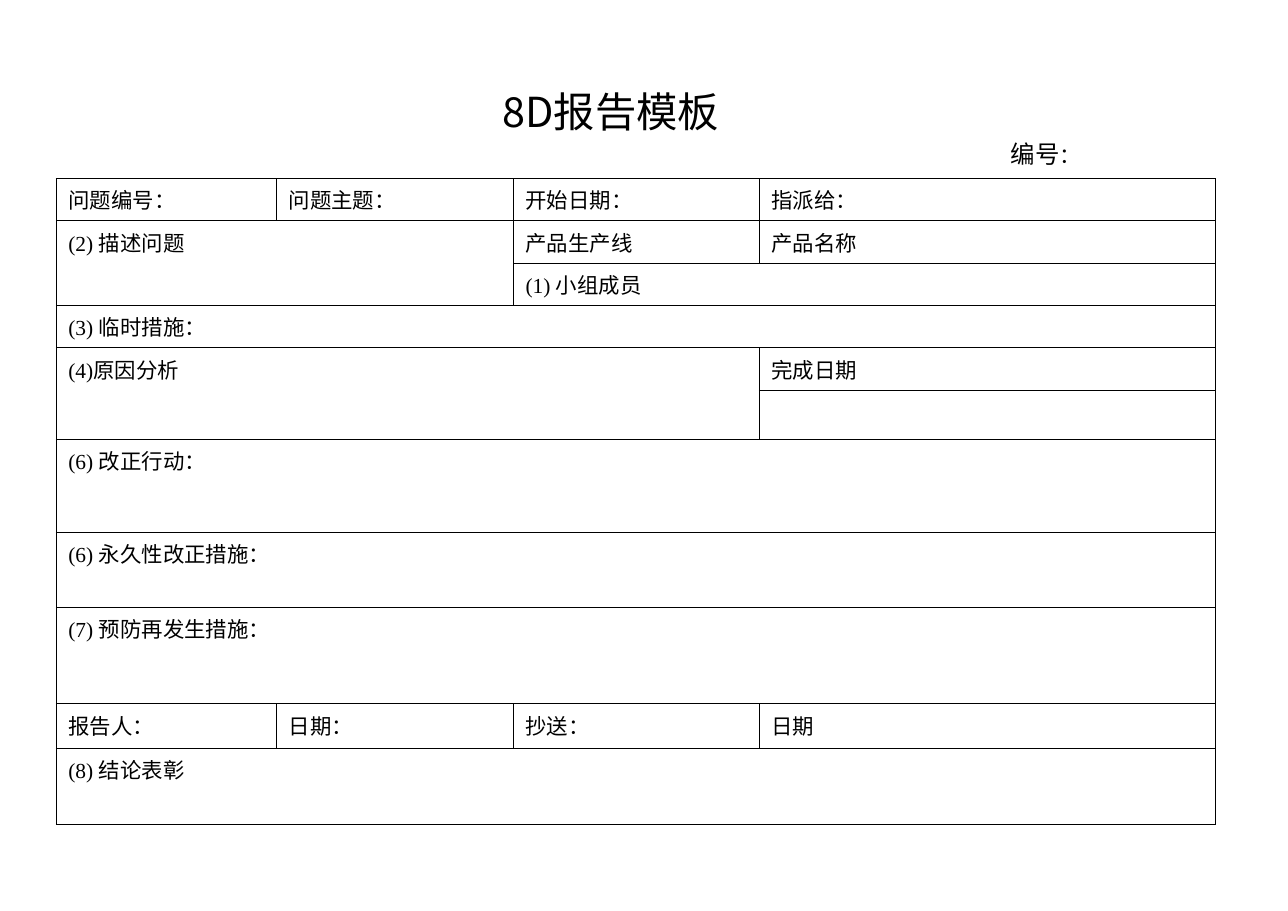
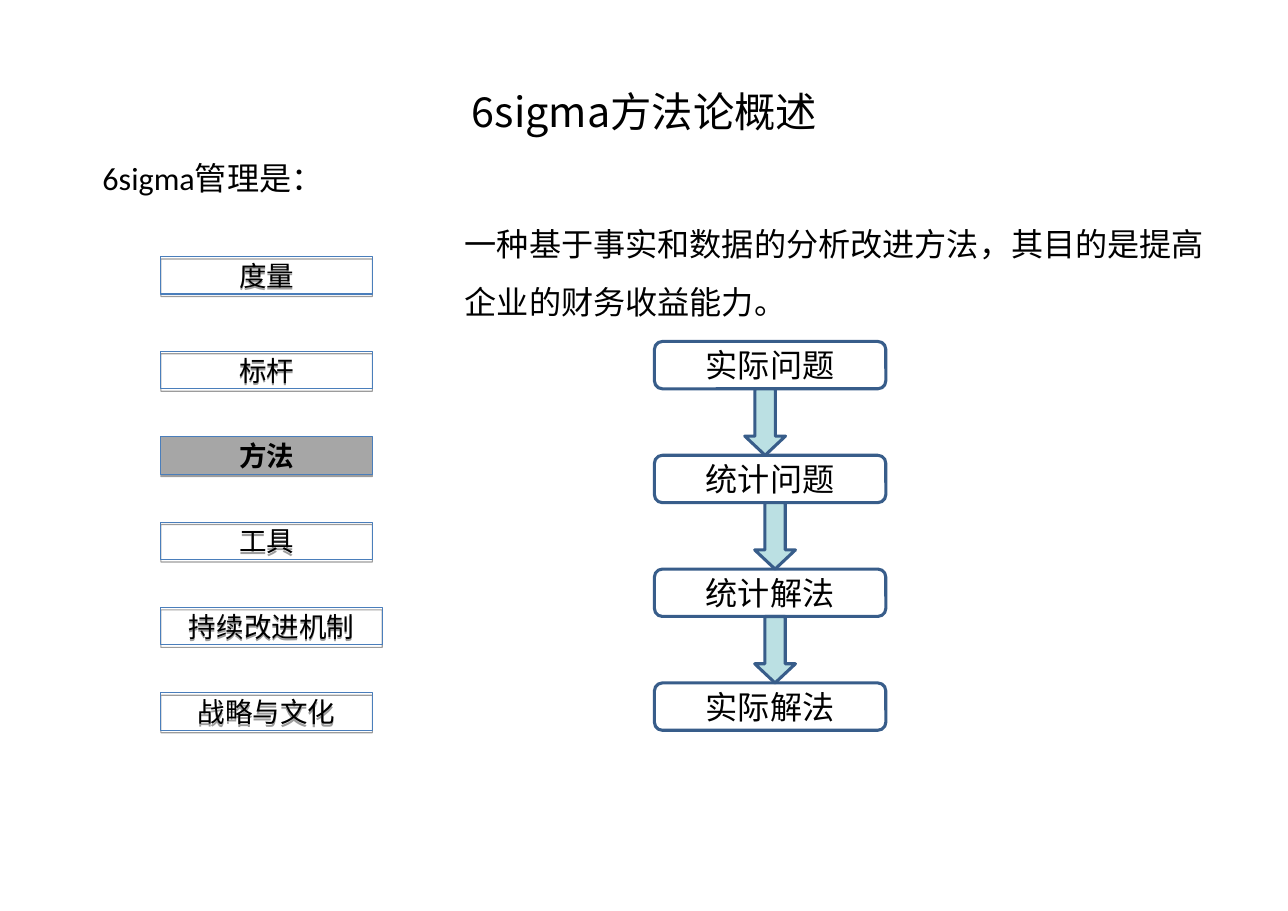
from lxml import etree
from pptx import Presentation
from pptx.dml.color import RGBColor
from pptx.enum import shapes, text
from pptx.oxml.ns import qn
from pptx.util import Inches, Pt

BLACK = RGBColor(0x00, 0x00, 0x00)
WHITE = RGBColor(0xFF, 0xFF, 0xFF)
GREY = RGBColor(0xA6, 0xA6, 0xA6)
BLUE = RGBColor(0x4A, 0x7E, 0xBB)
NAVY = RGBColor(0x38, 0x5D, 0x8A)
AQUA = RGBColor(0xBB, 0xE0, 0xE3)

CJK_FONT = "Noto Sans CJK SC"
BODY_FONT = "Calibri"
TABLE_FONT = "Times New Roman"

COLUMN_WIDTHS = [2, 2.15, 2.23, 4.14]
ROW_HEIGHTS = [0.37] * 5 + [0.45, 0.84, 0.68, 0.88, 0.4, 0.69]
# row, column, rows spanned, columns spanned, text
FORM_FIELDS = [
    (0, 0, 1, 1, "问题编号："),
    (0, 1, 1, 1, "问题主题："),
    (0, 2, 1, 1, "开始日期："),
    (0, 3, 1, 1, "指派给："),
    (1, 0, 2, 2, "(2) 描述问题"),
    (1, 2, 1, 1, "产品生产线"),
    (1, 3, 1, 1, "产品名称"),
    (2, 2, 1, 2, "(1) 小组成员"),
    (3, 0, 1, 4, "(3) 临时措施："),
    (4, 0, 2, 3, "(4)原因分析"),
    (4, 3, 1, 1, "完成日期"),
    (5, 3, 1, 1, ""),
    (6, 0, 1, 4, "(6) 改正行动："),
    (7, 0, 1, 4, "(6) 永久性改正措施："),
    (8, 0, 1, 4, "(7) 预防再发生措施："),
    (9, 0, 1, 1, "报告人："),
    (9, 1, 1, 1, "日期："),
    (9, 2, 1, 1, "抄送："),
    (9, 3, 1, 1, "日期"),
    (10, 0, 1, 4, "(8) 结论表彰"),
]

ASPECTS = ["度量", "标杆", "方法", "工具", "持续改进机制", "战略与文化"]
CURRENT_ASPECT = "方法"
WIDE_ASPECT = "持续改进机制"
FLOW_STEPS = ["实际问题", "统计问题", "统计解法", "实际解法"]
ARROW_LEFTS = [6.76, 6.85, 6.85]


def style_font(font, size, name):
    font.size = Pt(size)
    font.color.rgb = BLACK
    font.name = name


def write(shape, content, size, name=BODY_FONT, centred=True, wrap=True):
    """Fill a shape with one paragraph in the shared text style."""
    frame = shape.text_frame
    frame.auto_size = text.MSO_AUTO_SIZE.NONE
    frame.word_wrap = wrap
    frame.vertical_anchor = text.MSO_ANCHOR.MIDDLE
    frame.margin_left = frame.margin_right = Inches(0.11)
    frame.margin_top = frame.margin_bottom = Inches(0.06)
    paragraph = frame.paragraphs[0]
    paragraph.alignment = text.PP_ALIGN.CENTER if centred else text.PP_ALIGN.LEFT
    span = paragraph.add_run()
    span.text = content
    style_font(paragraph.font, size, name)
    set_east_asian(span)
    return paragraph


def set_east_asian(span):
    properties = span._r.get_or_add_rPr()
    properties.set("lang", "zh-CN")
    etree.SubElement(properties, qn("a:ea"), typeface=CJK_FONT)


def add_page(deck, title, left, width):
    page = deck.slides.add_slide(deck.slide_layouts[5])
    heading = page.shapes.title
    heading.left, heading.top = Inches(left), Inches(0.73)
    heading.width, heading.height = Inches(width), Inches(0.56)
    write(heading, title, 27, CJK_FONT, wrap=False)
    return page


def add_text(page, bounds, content, size, **options):
    box = page.shapes.add_textbox(*map(Inches, bounds))
    return write(box, content, size, **options)


def add_block(parent, kind, bounds, line, line_width, fill=None):
    block = parent.shapes.add_shape(kind, *map(Inches, bounds))
    block.shadow.inherit = False
    block.line.color.rgb = line
    block.line.width = Pt(line_width)
    if fill is None:
        block.fill.background()
    else:
        block.fill.solid()
        block.fill.fore_color.rgb = fill
    return block


def drop_shadow(shape):
    effects = shape._element.spPr.find(qn("a:effectLst"))
    shadow = etree.SubElement(effects, qn("a:outerShdw"), blurRad="0",
                              dist=str(Pt(1.6)), dir="5400000", rotWithShape="0")
    colour = etree.SubElement(shadow, qn("a:srgbClr"), val=str(BLACK))
    etree.SubElement(colour, qn("a:alpha"), val="38000")


def draw_borders(cell):
    properties = cell._tc.get_or_add_tcPr()
    for side in ("lnL", "lnR", "lnT", "lnB"):
        line = etree.SubElement(properties, qn(f"a:{side}"), w=str(Pt(0.45)))
        fill = etree.SubElement(line, qn("a:solidFill"))
        etree.SubElement(fill, qn("a:srgbClr"), val=str(BLACK))


def add_form(page):
    frame = page.shapes.add_table(
        len(ROW_HEIGHTS), len(COLUMN_WIDTHS), Inches(0.51), Inches(1.62),
        Inches(sum(COLUMN_WIDTHS)), Inches(sum(ROW_HEIGHTS)))
    table = frame.table
    table.first_row = table.horz_banding = False
    for column, width in zip(table.columns, COLUMN_WIDTHS):
        column.width = Inches(width)
    for row, height in zip(table.rows, ROW_HEIGHTS):
        row.height = Inches(height)
    for cell in table.iter_cells():
        draw_borders(cell)
        cell.fill.background()
        cell.margin_left = cell.margin_right = Inches(0.11)
        cell.margin_top = cell.margin_bottom = Inches(0.05)
        style_font(cell.text_frame.paragraphs[0].font, 14, TABLE_FONT)
    for row, column, rows, columns, label in FORM_FIELDS:
        cell = table.cell(row, column)
        if rows * columns > 1:
            cell.merge(table.cell(row + rows - 1, column + columns - 1))
        if label:
            span = cell.text_frame.paragraphs[0].add_run()
            span.text = label
            set_east_asian(span)


def add_aspects(page):
    group = page.shapes.add_group_shape()
    step = (6.29 - 3.19) / 4
    tops = [2.33] + [3.19 + step * i for i in range(5)]
    for label, top in zip(ASPECTS, tops):
        current = label == CURRENT_ASPECT
        width = 2.01 if label == WIDE_ASPECT else 1.92
        block = add_block(group, shapes.MSO_SHAPE.RECTANGLE, (1.46, top, width, 0.34),
                          BLUE, 0.75, GREY if current else None)
        drop_shadow(block)
        write(block, label, 18).font.bold = current


def add_flow(page):
    first_top, height = 3.1, 0.43
    step = (6.2 - first_top) / (len(FLOW_STEPS) - 1)
    for i, label in enumerate(FLOW_STEPS):
        block = add_block(page, shapes.MSO_SHAPE.ROUNDED_RECTANGLE,
                          (5.94, first_top + i * step, 2.1, height), NAVY, 2, WHITE)
        write(block, label, 21)
    for i, left in enumerate(ARROW_LEFTS):
        arrow = add_block(page, shapes.MSO_SHAPE.DOWN_ARROW,
                          (left, first_top + i * step + height, 0.37, step - height),
                          NAVY, 2, AQUA)
        arrow.adjustments[1] = 0.47


def build_report(deck):
    page = add_page(deck, "8D报告模板", 4.39, 2.31)
    add_form(page)
    number = add_text(page, (9.06, 1.21, 0.87, 0.38), "编号", 16, wrap=False)
    colon = number.add_run()
    colon.text = "："
    colon.font.size = Pt(14)
    set_east_asian(colon)


def build_overview(deck):
    page = add_page(deck, "6sigma方法论概述", 4.11, 3.48)
    add_text(page, (0.82, 1.38, 3.01, 0.46), "6sigma管理是：", 21, centred=False)
    add_aspects(page)
    purpose = add_text(page, (4.11, 1.81, 6.94, 1.16),
                       "一种基于事实和数据的分析改进方法，其目的是提高企业的财务收益能力。",
                       21, centred=False)
    purpose.line_spacing = 1.5
    add_flow(page)


def main():
    deck = Presentation()
    deck.slide_width, deck.slide_height = Inches(11.69), Inches(8.27)
    build_report(deck)
    build_overview(deck)
    deck.save("out.pptx")


if __name__ == "__main__":
    main()
